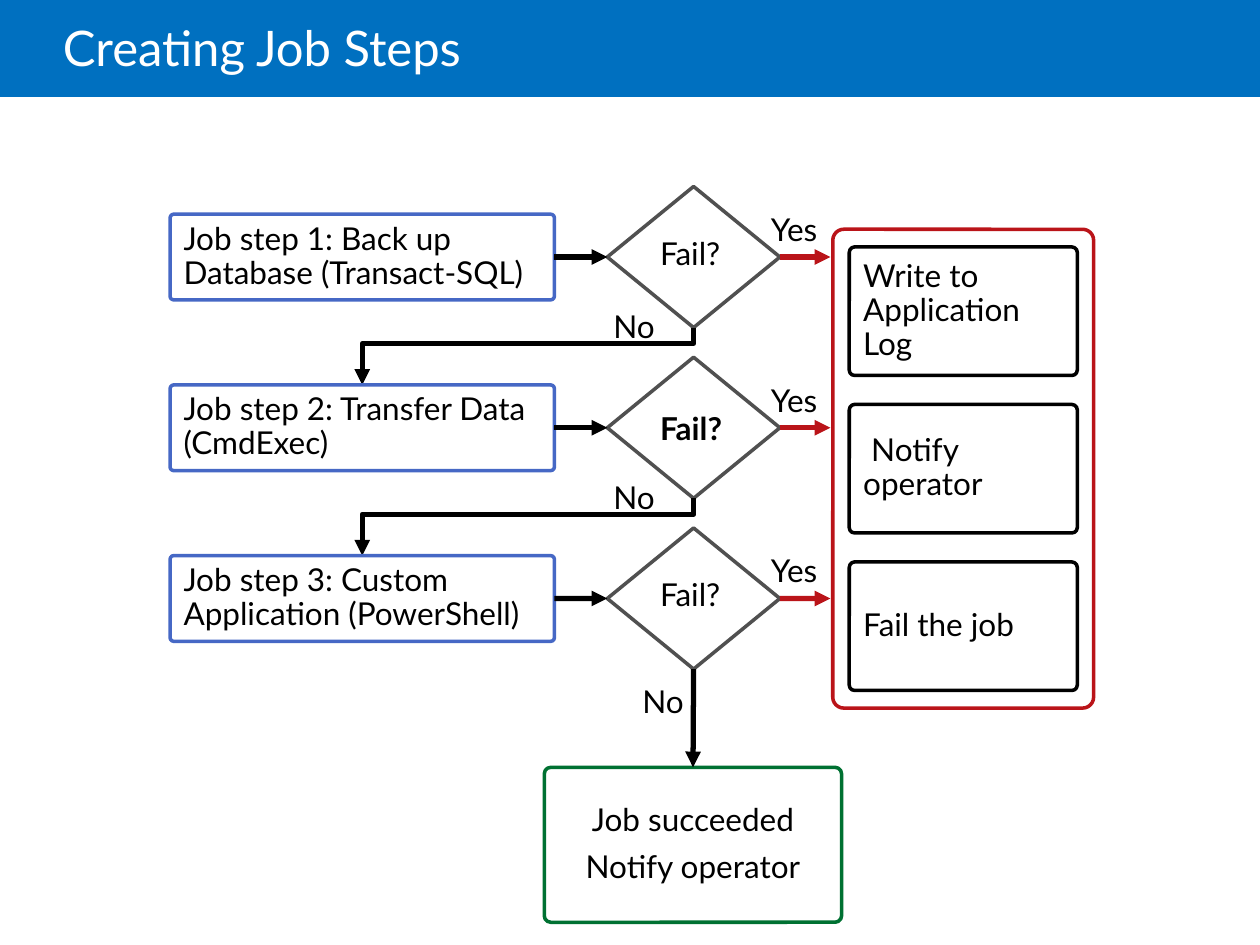
from dataclasses import dataclass

from lxml.etree import SubElement
from pptx import Presentation
from pptx.dml.color import RGBColor as Rgb
from pptx.enum.shapes import MSO_CONNECTOR as Link, MSO_SHAPE as Kind
from pptx.enum.text import MSO_ANCHOR as Anchor, PP_ALIGN as Align
from pptx.oxml.ns import qn
from pptx.shapes.autoshape import Shape
from pptx.shapes.connector import Connector
from pptx.slide import Slide
from pptx.text.text import TextFrame
from pptx.util import Inches, Pt


@dataclass(frozen=True)
class Theme:
    font: str = "Lato"
    head: float = 28
    body: float = 18
    gap: float = 7.2
    edge: float = 2
    flow: float = 3
    bar: str = "0070C0"
    white: str = "FFFFFF"
    black: str = "000000"
    gray: str = "505050"
    blue: str = "4668C5"
    red: str = "BA1419"
    green: str = "007132"


@dataclass(frozen=True)
class Box:
    left: float
    top: float
    width: float
    height: float

    def down(self, dist: float) -> "Box":
        return Box(self.left, self.top + dist, self.width, self.height)

    def place(self) -> tuple:
        return tuple(map(Inches, (self.left, self.top, self.width, self.height)))


@dataclass(frozen=True)
class Step:
    text: str
    bold: bool = False


THEME = Theme()
PITCH = 2.71 / 2  # distance between job steps
STEPS = (
    Step("Job step 1: Back up Database (Transact-SQL)"),
    Step("Job step 2: Transfer Data (CmdExec)", bold=True),
    Step("Job step 3: Custom Application (PowerShell)"),
)
ACTS = ("Write to Application Log", " Notify operator", "Fail the job")
ACT_PITCH = 1.25

STEP = Box(1.35, 1.7, 3.05, 0.68)
TEST = Box(4.82, 1.48, 1.37, 1.12)
ASK = Box(5.14, 1.84, 0.72, 0.38)
YES = Box(6.02, 1.65, 0.59, 0.38)
NO = Box(4.77, 2.42, 0.59, 0.38)
LAST_NO = Box(5, 5.4, 0.59, 0.38)
PANEL = Box(6.61, 1.82, 2.07, 3.8)
ACT = Box(6.74, 1.96, 1.81, 1.02)
DONE = Box(4.32, 6.09, 2.36, 1.23)
RED_END = 6.59


def write(frame: TextFrame, text: str, size: float = THEME.body,
          color: str = THEME.black, bold: bool = False, space: float = 0.9,
          align: Align = Align.LEFT, anchor: Anchor = Anchor.TOP) -> None:
    frame.text = text
    frame.word_wrap = True
    frame.vertical_anchor = anchor
    for num, para in enumerate(frame.paragraphs):
        para.alignment = align
        para.line_spacing = space
        if num:
            para.space_before = Pt(THEME.gap)
        for run in para.runs:
            run.font.name = THEME.font
            run.font.size = Pt(size)
            run.font.bold = bold
            run.font.color.rgb = Rgb.from_string(color)


def label(slide: Slide, box: Box, text: str, bold: bool = False) -> None:
    frame = slide.shapes.add_textbox(*box.place()).text_frame
    write(frame, text, bold=bold, space=1.0 if bold else 0.9)


def block(slide: Slide, box: Box, edge: str, text: str = "",
          kind: Kind = Kind.ROUNDED_RECTANGLE, align: Align = Align.LEFT) -> Shape:
    """Draw an outlined white shape with optional text."""
    shape = slide.shapes.add_shape(kind, *box.place())
    shape.shadow.inherit = False
    shape.fill.solid()
    shape.fill.fore_color.rgb = Rgb.from_string(THEME.white)
    shape.line.color.rgb = Rgb.from_string(edge)
    shape.line.width = Pt(THEME.edge)
    if kind == Kind.ROUNDED_RECTANGLE:
        shape.adjustments[0] = 0.042
    if text:
        write(shape.text_frame, text, align=align, anchor=Anchor.MIDDLE)
    return shape


def arrow(slide: Slide, ends: tuple = (0, 0, 0, 0), color: str = THEME.black,
          kind: Link = Link.STRAIGHT) -> Connector:
    link = slide.shapes.add_connector(kind, *map(Inches, ends))
    link.line.color.rgb = Rgb.from_string(color)
    link.line.width = Pt(THEME.flow)
    props = link._element.spPr
    SubElement(props.find(qn("a:ln")), qn("a:tailEnd"), type="triangle")
    SubElement(props, qn("a:effectLst"))
    return link


def join(slide: Slide, start: Shape, exit: int, end: Shape, entry: int) -> None:
    link = arrow(slide)
    link.begin_connect(start, exit)
    link.end_connect(end, entry)


def bend(slide: Slide, x1: float, y1: float, x2: float, y2: float) -> None:
    """Run down, left and down again, as an elbow turned by 90 degrees."""
    mid_x, mid_y = (x1 + x2) / 2, (y1 + y2) / 2
    half_w, half_h = (y2 - y1) / 2, (x1 - x2) / 2
    link = arrow(slide, (mid_x - half_w, mid_y - half_h,
                         mid_x + half_w, mid_y + half_h), kind=Link.ELBOW)
    props = link._element.spPr
    props.find(qn("a:xfrm")).set("rot", "5400000")
    guides = props.find(qn("a:prstGeom")).get_or_add_avLst()
    SubElement(guides, qn("a:gd"), name="adj1", fmla="val 27700")


def title(slide: Slide) -> None:
    bar = slide.shapes.add_shape(Kind.RECTANGLE, *Box(0, 0, 10, 0.77).place())
    bar.shadow.inherit = False
    bar.fill.solid()
    bar.fill.fore_color.rgb = Rgb.from_string(THEME.bar)
    bar.line.fill.background()
    frame = slide.shapes.add_textbox(*Box(0.5, 0, 8.5, 0.81).place()).text_frame
    frame.margin_left = 0
    write(frame, "Creating Job Steps", THEME.head, THEME.white, space=0.85,
          anchor=Anchor.MIDDLE)


def chart(slide: Slide) -> None:
    """Draw the flow from the job steps to failure or success."""
    block(slide, PANEL, THEME.red)
    for num, text in enumerate(ACTS):
        block(slide, ACT.down(num * ACT_PITCH), THEME.black, text)

    done = block(slide, DONE, THEME.green, "Job succeeded\nNotify operator",
                 align=Align.CENTER)
    for num, step in enumerate(STEPS):
        drop = num * PITCH
        job = block(slide, STEP.down(drop), THEME.blue, step.text)
        test = block(slide, TEST.down(drop), THEME.gray, kind=Kind.FLOWCHART_DECISION)
        label(slide, ASK.down(drop), "Fail?", step.bold)
        label(slide, YES.down(drop), "Yes")
        join(slide, job, 3, test, 1)
        mid = TEST.top + TEST.height / 2 + drop
        fail = arrow(slide, (TEST.left + TEST.width, mid, RED_END, mid), THEME.red)
        fail.begin_connect(test, 3)
        if num < len(STEPS) - 1:
            label(slide, NO.down(drop), "No")
            bend(slide, TEST.left + TEST.width / 2, TEST.top + TEST.height + drop,
                 STEP.left + STEP.width / 2, STEP.top + drop + PITCH)
        else:
            label(slide, LAST_NO, "No")
            join(slide, test, 2, done, 0)


def main() -> None:
    deck = Presentation()
    deck.slide_width, deck.slide_height = Inches(10), Inches(7.5)
    slide = deck.slides.add_slide(deck.slide_layouts[6])
    title(slide)
    chart(slide)
    deck.save("out.pptx")


if __name__ == "__main__":
    main()
